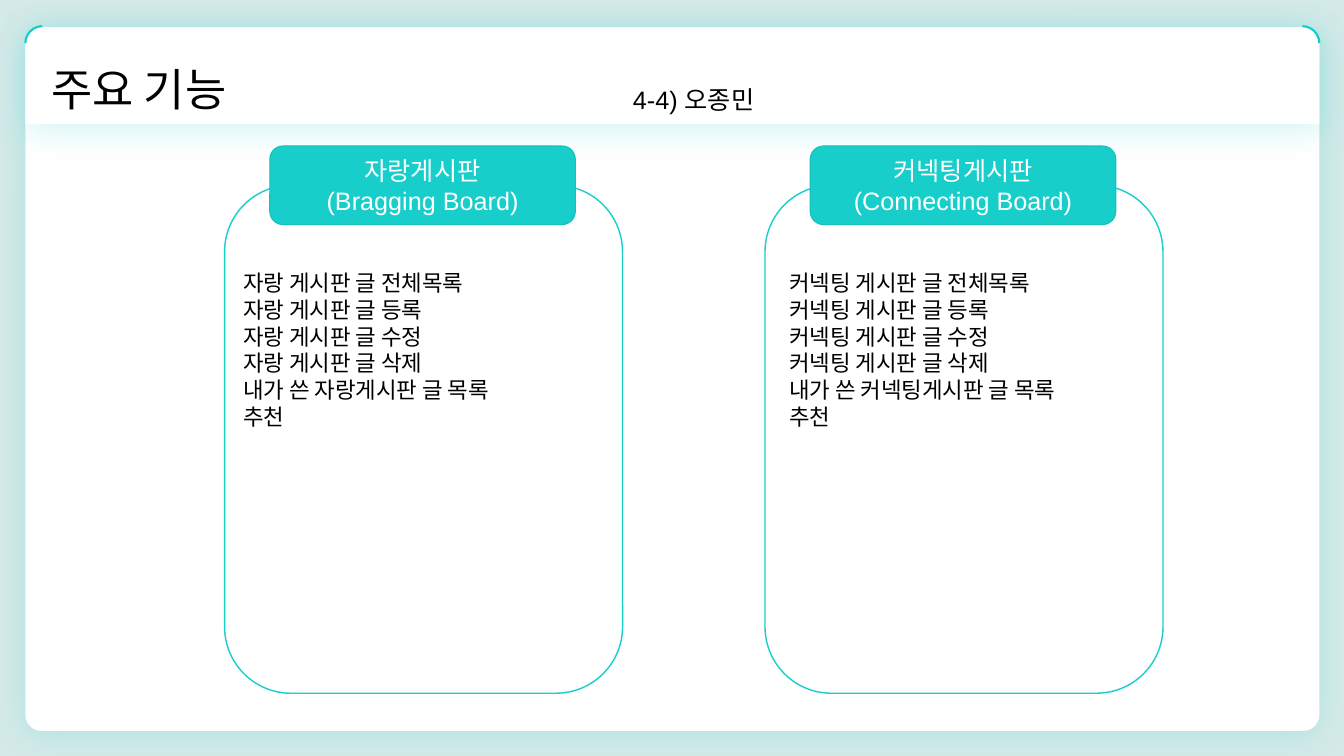
import pptx
import pptx.util
import pptx.dml.color
import pptx.enum.shapes
import pptx.enum.text
import pptx.oxml
import pptx.oxml.ns

Cm, Pt = pptx.util.Cm, pptx.util.Pt
SHAPE = pptx.enum.shapes.MSO_SHAPE
ALIGN = pptx.enum.text.PP_ALIGN
ANCHOR = pptx.enum.text.MSO_ANCHOR

# Content
TITLE = "주요 기능"
PRESENTER = "4-4) 오종민"
BOARDS = [
    {"name": ["자랑게시판", "(Bragging Board)"], "left": 5.66, "list_left": 5.87,
     "features": ["자랑 게시판 글 전체목록", "자랑 게시판 글 등록", "자랑 게시판 글 수정",
                  "자랑 게시판 글 삭제", "내가 쓴 자랑게시판 글 목록", "추천"]},
    {"name": ["커넥팅게시판", "(Connecting Board)"], "left": 19.28, "list_left": 19.63,
     "features": ["커넥팅 게시판 글 전체목록", "커넥팅 게시판 글 등록", "커넥팅 게시판 글 수정",
                  "커넥팅 게시판 글 삭제", "내가 쓴 커넥팅게시판 글 목록", "추천"]},
]

# Formats
BACKGROUND, WHITE, BLACK = "D4EAE8", "FFFFFF", "000000"
GLOW, TEAL, DARK_TEAL = "18CACA", "18CECA", "16C0BC"
TITLE_FONT = {"name": "Arial", "size": Pt(32), "bold": False}
HEAD_FONT = {"name": "Arial", "size": Pt(18)}
LIST_FONT = {"name": "Arial", "size": Pt(16)}

# Panel geometry in cm
LEFT, TOP, WIDTH = 0.64, 0.69, 32.61
CORNER = 0.86


def rgb(value):
    return pptx.dml.color.RGBColor.from_string(value)


def add_effect(properties, color, alpha, blur, dist):
    properties.append(pptx.oxml.parse_xml(
        f'<a:effectLst {pptx.oxml.ns.nsdecls("a")}>'
        f'<a:outerShdw blurRad="{Pt(blur)}" dist="{Pt(dist)}" dir="5400000" '
        f'algn="t" rotWithShape="0"><a:srgbClr val="{color}">'
        f'<a:alpha val="{alpha * 1000}"/></a:srgbClr></a:outerShdw></a:effectLst>'))


def add_shape(kind, box, adjustments, fill=None, line=None, width=1, glow=False):
    sp = s.shapes.add_shape(kind, *map(Cm, box))
    for i, value in enumerate(adjustments):
        sp.adjustments[i] = value
    if fill:
        sp.fill.solid()
        sp.fill.fore_color.rgb = rgb(fill)
    else:
        sp.fill.background()
    if line:
        sp.line.color.rgb = rgb(line)
        sp.line.width = Pt(width)
    else:
        sp.line.fill.background()
    if glow:
        add_effect(sp.element.spPr, GLOW, 20, 23, 3)
    else:
        sp.shadow.inherit = False
    return sp


def write(sp, lines, font, color, align=ALIGN.LEFT, anchor=ANCHOR.TOP):
    tf = sp.text_frame
    tf.word_wrap = True
    tf.auto_size = pptx.enum.text.MSO_AUTO_SIZE.NONE
    tf.vertical_anchor = anchor
    for i, line in enumerate(lines):
        p = tf.paragraphs[0] if i == 0 else tf.add_paragraph()
        p.alignment = align
        p.space_before = Pt(0)
        r = p.add_run()
        r.text = line
        for key, value in font.items():
            setattr(r.font, key, value)
        r.font.color.rgb = rgb(color)


def place(sp, box):
    """Move a placeholder to its box and in front of the panels."""
    sp.left, sp.top, sp.width, sp.height = map(Cm, box)
    sp.element.getparent().append(sp.element)


prs = pptx.Presentation()
prs.slide_width, prs.slide_height = Cm(33.87), Cm(19.05)
s = prs.slides.add_slide(prs.slide_layouts[3])
s.background.fill.solid()
s.background.fill.fore_color.rgb = rgb(BACKGROUND)
title, *lists = s.placeholders

# White panel, title band and corner arcs
add_shape(SHAPE.ROUNDED_RECTANGLE, (LEFT, TOP, WIDTH, 17.73), [0.023], WHITE, glow=True)
add_shape(SHAPE.ROUND_2_SAME_RECTANGLE, (LEFT, TOP, WIDTH, 2.44), [0.167, 0], WHITE, glow=True)
for x, flip in ((LEFT, False), (LEFT + WIDTH - CORNER, True)):
    arc = add_shape(SHAPE.ARC, (x, 0.66, CORNER, CORNER), [108.1, 161.63], line=GLOW, width=1.5)
    if flip:
        arc.element.spPr.xfrm.set("flipH", "1")

# Title and presenter
place(title, (1.04, 1.42, 15.44, 1.63))
write(title, [TITLE], TITLE_FONT, BLACK, anchor=ANCHOR.MIDDLE)
title_run = title.text_frame.paragraphs[0].runs[0]
fill = title_run.font.fill._xPr.find(pptx.oxml.ns.qn("a:solidFill"))
add_effect(title_run.font.fill._xPr, BLACK, 40, 4, 3)
fill.addnext(title_run.font.fill._xPr[-1])
presenter = s.shapes.add_textbox(*map(Cm, (15.7, 2.01, 11.89, 1.02)))
write(presenter, [PRESENTER], HEAD_FONT, BLACK)

# Boards: frame, header and feature list
for board, body in zip(BOARDS, lists):
    x = board["left"]
    add_shape(SHAPE.ROUNDED_RECTANGLE, (x, 4.67, 10.03, 12.8), [0.167], line=TEAL)
    header = add_shape(SHAPE.ROUNDED_RECTANGLE, (x + 1.14, 3.68, 7.7, 1.98), [0.167],
                       TEAL, DARK_TEAL, 0.75)
    write(header, board["name"], HEAD_FONT, WHITE, ALIGN.CENTER, ANCHOR.MIDDLE)
    place(body, (board["list_left"], 6.65, 10.06, 4.37))
    write(body, board["features"], LIST_FONT, BLACK)
    for p in body.text_frame.paragraphs:
        pPr = p._p.get_or_add_pPr()
        pPr.set("marL", "0")
        pPr.set("indent", "0")
        pPr.append(pptx.oxml.parse_xml(f'<a:buNone {pptx.oxml.ns.nsdecls("a")}/>'))

prs.save("out.pptx")
